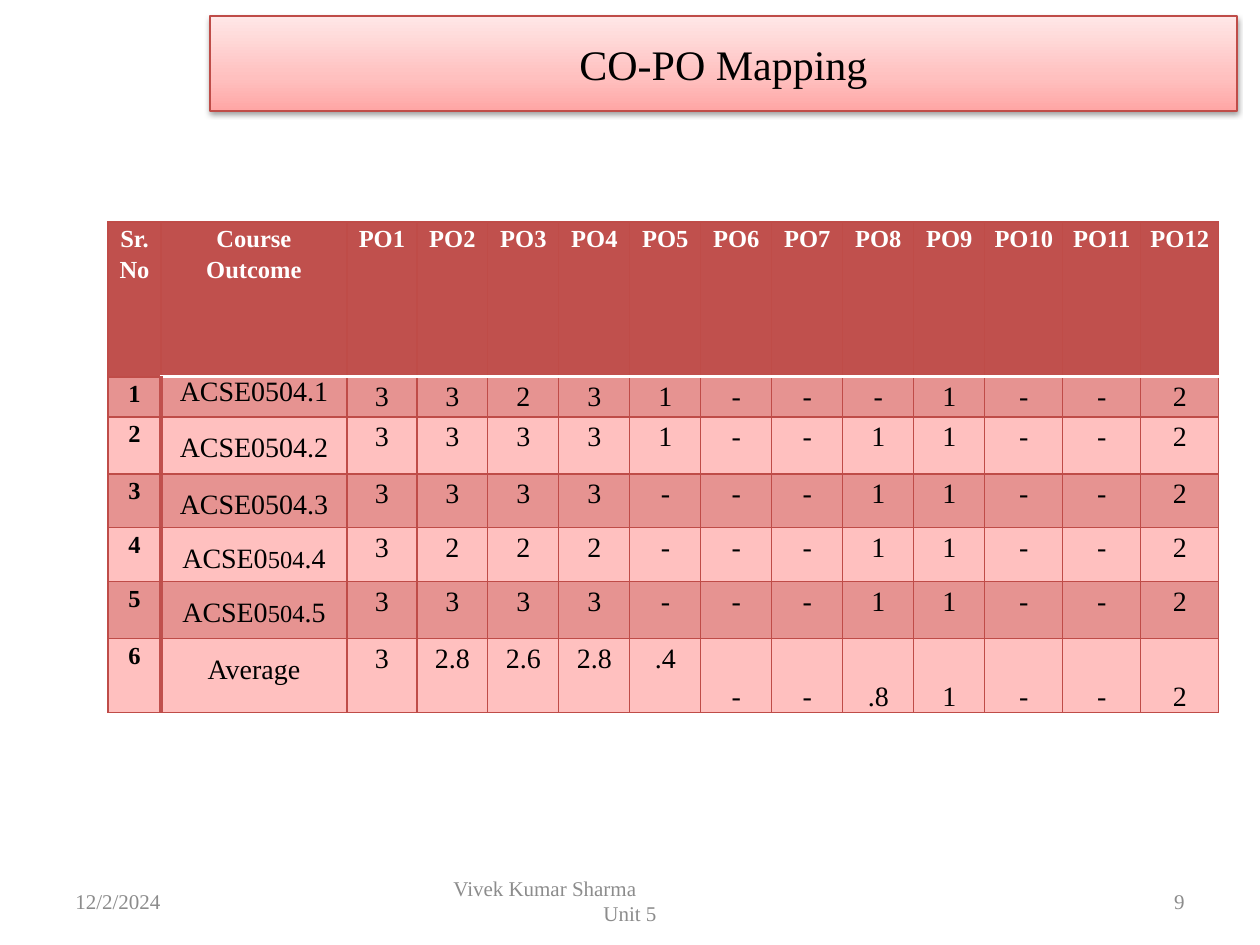
from pptx import Presentation
from pptx.dml.color import RGBColor
from pptx.enum.shapes import MSO_SHAPE
from pptx.enum.text import MSO_ANCHOR, PP_ALIGN
from pptx.oxml import parse_xml
from pptx.oxml.ns import nsdecls, qn
from pptx.util import Pt

SCALE = 914400 / 126  # EMU in one px
FONT = "Times New Roman"
HUES = {
    "head": "C0504D", "edge": "BF4C48", "dark": "E69391", "light": "FFC0BF",
    "low": "FFA6A5", "high": "FFE7E7", "ink": "000000", "white": "FFFFFF",
    "gray": "8C8C8C",
}
COLS = [53, 186, 70] + [71] * 8 + [78] * 3
ROWS = [155, 40, 57, 54, 54, 57, 74]
HEADS = ["Sr. No", "Course Outcome"] + [f"PO{n}" for n in range(1, 13)]
# Each outcome is a list of runs; every second run is smaller
NAMES = [["ACSE0504.1"], ["ACSE0504.2"], ["ACSE0504.3"],
         ["ACSE0", "504", ".4"], ["ACSE0", "504", ".5"], ["Average"]]
MARKS = [
    "3 3 2 3 1 - - - 1 - - 2",
    "3 3 3 3 1 - - 1 1 - - 2",
    "3 3 3 3 - - - 1 1 - - 2",
    "3 2 2 2 - - - 1 1 - - 2",
    "3 3 3 3 - - - 1 1 - - 2",
    "3 2.8 2.6 2.8 .4 - - .8 1 - - 2",
]


def px(n):
    return round(n * SCALE)


def style(runs, size, hue, bold=False):
    for run in runs:
        run.font.name = FONT
        run.font.size = Pt(size)
        run.font.bold = bold
        run.font.color.rgb = RGBColor.from_string(HUES[hue])


def title(slide, box, text):
    bar = slide.shapes.add_shape(MSO_SHAPE.RECTANGLE, *map(px, box))
    bar.line.color.rgb = RGBColor.from_string(HUES["edge"])
    bar.line.width = Pt(0.75)
    # Three-stop gradient, dark at the bottom
    stops = "".join(
        f'<a:gs pos="{pos}"><a:srgbClr val="{HUES[hue]}"/></a:gs>'
        for pos, hue in [(0, "low"), (35000, "light"), (100000, "high")])
    props = bar._element.spPr
    props.insert(2, parse_xml(
        f'<a:gradFill {nsdecls("a")} rotWithShape="1"><a:gsLst>{stops}</a:gsLst>'
        '<a:lin ang="16200000" scaled="0"/></a:gradFill>'))
    # Soft shadow below
    bar.shadow.inherit = False
    props.find(qn("a:effectLst")).append(parse_xml(
        f'<a:outerShdw {nsdecls("a")} blurRad="{Pt(3.1)}" dist="{Pt(1.6)}" '
        f'dir="5400000" rotWithShape="0"><a:srgbClr val="{HUES["ink"]}">'
        '<a:alpha val="38000"/></a:srgbClr></a:outerShdw>'))
    frame = bar.text_frame
    frame.text = text
    frame.vertical_anchor = MSO_ANCHOR.MIDDLE
    para = frame.paragraphs[0]
    para.alignment = PP_ALIGN.CENTER
    style(para.runs, 24, "ink")


def border(cell, row, col):
    thin, sides = ("edge", 0.75), {}
    for side in "LRTB":
        sides[side] = thin
    if row and col < 2:
        sides["LR"[1 - col]] = ("head", 2)
    if row < 2 and col:
        sides["BT"[row]] = ("white", 2)
    props = cell._tc.get_or_add_tcPr()
    for side, (hue, width) in sides.items():
        props.append(parse_xml(
            f'<a:ln{side} {nsdecls("a")} w="{Pt(width)}"><a:solidFill>'
            f'<a:srgbClr val="{HUES[hue]}"/></a:solidFill></a:ln{side}>'))


def fill(cell, row, col, parts):
    cell.margin_left = cell.margin_right = px(9)
    cell.margin_top = cell.margin_bottom = 0
    low = row == len(ROWS) - 1 and col > 6
    cell.vertical_anchor = MSO_ANCHOR.BOTTOM if low else MSO_ANCHOR.TOP
    border(cell, row, col)
    hue = "head" if row == 0 else "dark" if row % 2 else "light"
    cell.fill.solid()
    cell.fill.fore_color.rgb = RGBColor.from_string(HUES[hue])
    para = cell.text_frame.paragraphs[0]
    para.alignment = PP_ALIGN.CENTER
    para.line_spacing = 1.15
    if col == 1 and row:
        para.line_spacing = 1.0 if row == 1 else 1.5
    for part in parts:
        para.add_run().text = part
    bold = row == 0 or col == 0
    style(para.runs, 14 if bold else 16, "ink" if row else "white", bold)
    for run in para.runs[1::2]:
        run.font.size = Pt(14)


def grid(slide, left, top):
    size = map(px, (left, top, sum(COLS), sum(ROWS)))
    table = slide.shapes.add_table(len(ROWS), len(COLS), *size).table
    table.horz_banding = False
    for col, width in zip(table.columns, COLS):
        col.width = px(width)
    for row, height in zip(table.rows, ROWS):
        row.height = px(height)
    lines = [[[head] for head in HEADS]]
    for num, (name, marks) in enumerate(zip(NAMES, MARKS), 1):
        lines.append([[str(num)], name] + [[mark] for mark in marks.split()])
    for r, line in enumerate(lines):
        for c, parts in enumerate(line):
            fill(table.cell(r, c), r, c, parts)


def note(slide, box, lines):
    frame = slide.shapes.add_textbox(*map(px, box)).text_frame
    frame.word_wrap = True
    frame.vertical_anchor = MSO_ANCHOR.MIDDLE
    frame.text = "\n".join(text for text, _, _ in lines)
    for para, (_, align, indent) in zip(frame.paragraphs, lines):
        para.alignment = align
        if indent:
            para._p.get_or_add_pPr().set("marL", str(px(indent)))
        style(para.runs, 12, "gray")


def footer(slide, left, top, width, height):
    side, mid = 294, 400
    note(slide, (left, top, side, height), [("12/2/2024", PP_ALIGN.LEFT, 0)])
    note(slide, (left + (width - mid) // 2, top, mid, height),
         [("Vivek Kumar Sharma", PP_ALIGN.LEFT, 11),
          ("Unit 5", PP_ALIGN.CENTER, 0)])
    note(slide, (left + width - side, top, side, height),
         [("9", PP_ALIGN.RIGHT, 0)])


def main():
    deck = Presentation()
    deck.slide_width, deck.slide_height = px(1260), px(945)
    slide = deck.slides.add_slide(deck.slide_layouts[6])
    footer(slide, 63, 876, 1134, 50)
    title(slide, (210, 16, 1027, 95), "CO-PO Mapping")
    grid(slide, 108, 222)
    deck.save("out.pptx")


if __name__ == "__main__":
    main()
